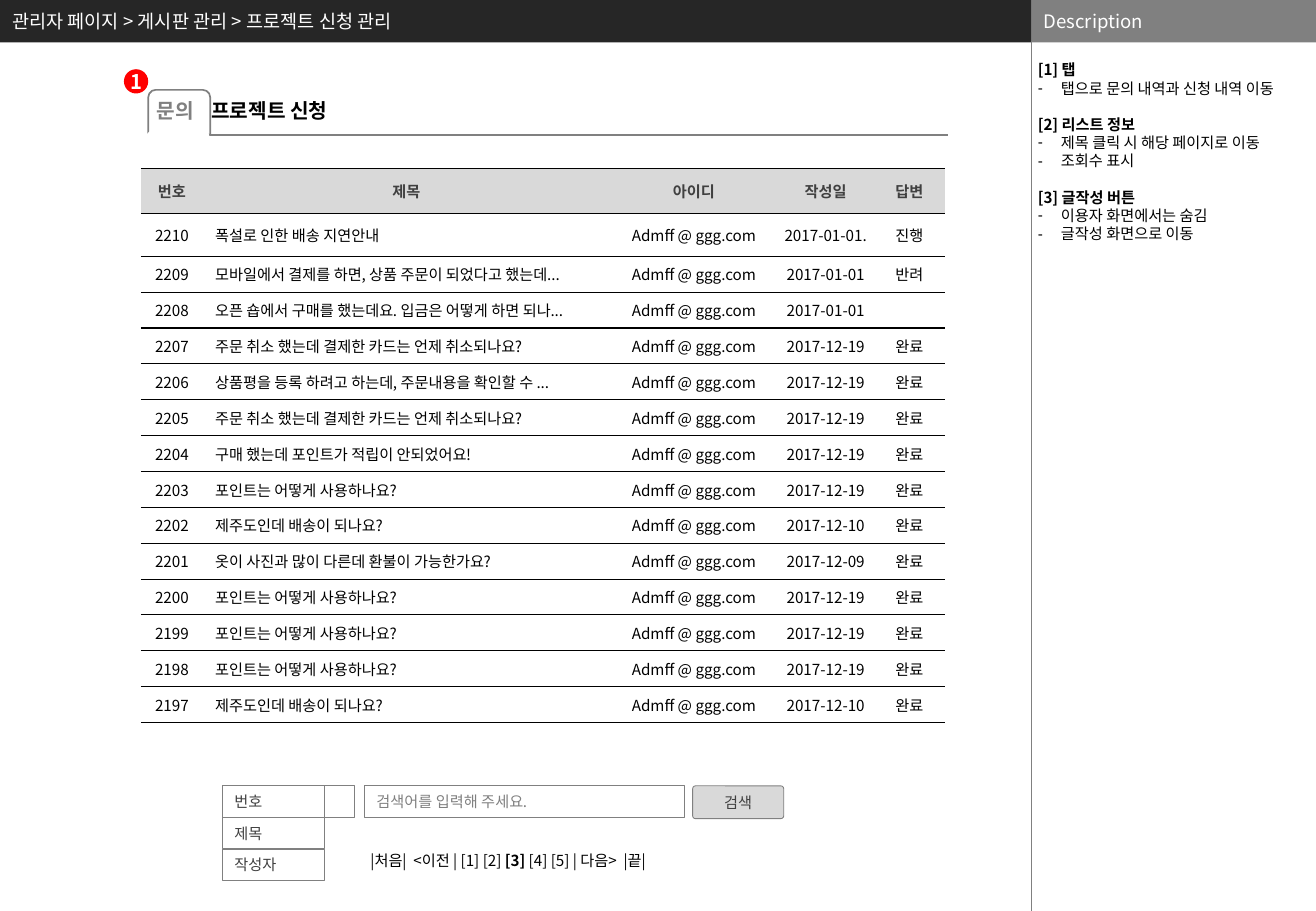
from lxml.etree import SubElement
from pptx import Presentation
from pptx.dml.color import RGBColor
from pptx.enum.shapes import MSO_CONNECTOR, MSO_SHAPE
from pptx.enum.text import MSO_ANCHOR, MSO_AUTO_SIZE, PP_ALIGN
from pptx.oxml.ns import qn
from pptx.util import Inches, Pt

FONT = "Noto Sans CJK KR"
BLACK = RGBColor(0x00, 0x00, 0x00)
WHITE = RGBColor(0xFF, 0xFF, 0xFF)
RED = RGBColor(0xFF, 0x00, 0x00)
CHARCOAL = RGBColor(0x26, 0x26, 0x26)
DARK_GRAY = RGBColor(0x40, 0x40, 0x40)
GRAY = RGBColor(0x80, 0x80, 0x80)
LIGHT_GRAY = RGBColor(0xD9, 0xD9, 0xD9)

DESCRIPTION = [
    ("[1] 탭", ["탭으로 문의 내역과 신청 내역 이동"]),
    ("[2] 리스트 정보", ["제목 클릭 시 해당 페이지로 이동", "조회수 표시"]),
    ("[3] 글작성 버튼", ["이용자 화면에서는 숨김", "글작성 화면으로 이동"]),
]
HEADERS = ["번호", "제목", "아이디", "작성일", "답변"]
COLUMN_WIDTHS = [0.51, 3.35, 1.38, 0.79, 0.59]
ACCOUNT = "Admff @ ggg.com"
FIRST_NUMBER = 2210
POSTS = [
    ("폭설로 인한 배송 지연안내", "2017-01-01.", "진행"),
    ("모바일에서 결제를 하면, 상품 주문이 되었다고 했는데...", "2017-01-01", "반려"),
    ("오픈 숍에서 구매를 했는데요. 입금은 어떻게 하면 되나...", "2017-01-01", ""),
    ("주문 취소 했는데 결제한 카드는 언제 취소되나요?", "2017-12-19", "완료"),
    ("상품평을 등록 하려고 하는데, 주문내용을 확인할 수 ...", "2017-12-19", "완료"),
    ("주문 취소 했는데 결제한 카드는 언제 취소되나요?", "2017-12-19", "완료"),
    ("구매 했는데 포인트가 적립이 안되었어요!", "2017-12-19", "완료"),
    ("포인트는 어떻게 사용하나요?", "2017-12-19", "완료"),
    ("제주도인데 배송이 되나요?", "2017-12-10", "완료"),
    ("옷이 사진과 많이 다른데 환불이 가능한가요?", "2017-12-09", "완료"),
    ("포인트는 어떻게 사용하나요?", "2017-12-19", "완료"),
    ("포인트는 어떻게 사용하나요?", "2017-12-19", "완료"),
    ("포인트는 어떻게 사용하나요?", "2017-12-19", "완료"),
    ("제주도인데 배송이 되나요?", "2017-12-10", "완료"),
]
TABLE_HEIGHT = 4.56
TOP_ROWS = [0.37, 0.35]


def add_text(paragraph, text, size=9, color=BLACK, bold=False, align=PP_ALIGN.LEFT):
    paragraph.alignment = align
    run = paragraph.add_run()
    run.text = text
    run.font.name = FONT
    run.font.size = Pt(size)
    run.font.bold = bold
    run.font.color.rgb = color
    SubElement(run.font._element, qn("a:ea"), typeface=FONT)


class Wireframe:
    def __init__(self, slide):
        self.slide = slide
        self.shapes = slide.shapes

    def frame(self, shape, insets=(0.1, 0.05), anchor=MSO_ANCHOR.MIDDLE, wrap=True):
        frame = shape.text_frame
        frame.auto_size = MSO_AUTO_SIZE.NONE
        frame.word_wrap = wrap
        frame.vertical_anchor = anchor
        frame.margin_left = frame.margin_right = Inches(insets[0])
        frame.margin_top = frame.margin_bottom = Inches(insets[1])
        return frame

    def place(self, shape, box):
        shape.left, shape.top, shape.width, shape.height = map(Inches, box)

    def title(self, box, text):
        title = self.shapes.title
        self.place(title, box)
        title.fill.solid()
        title.fill.fore_color.rgb = CHARCOAL
        add_text(self.frame(title).paragraphs[0], text, size=11, color=WHITE)

    def description(self, box, sections):
        body = self.slide.placeholders[1]
        self.place(body, box)
        frame = self.frame(body, (0.04, 0), MSO_ANCHOR.TOP)
        frame.margin_top = Inches(0.15)
        for index, (heading, items) in enumerate(sections):
            paragraph = frame.add_paragraph() if index else frame.paragraphs[0]
            self.description_line(paragraph, heading, gap=10.8 if index else 0)
            for item in items:
                self.description_line(frame.add_paragraph(), item, bullet=True)

    def description_line(self, paragraph, text, gap=0, bullet=False):
        add_text(paragraph, text, bold=not bullet)
        paragraph.line_spacing = Pt(10.8)
        paragraph.space_before = Pt(gap)
        properties = paragraph._p.get_or_add_pPr()
        indent = Inches(0.19) if bullet else 0
        properties.set("marL", str(indent))
        properties.set("indent", str(-indent))
        if bullet:
            SubElement(properties, qn("a:buChar"), char="-")
        else:
            SubElement(properties, qn("a:buNone"))

    def style(self, shape, fill, line, line_width):
        shape.shadow.inherit = False
        if fill is None:
            shape.fill.background()
        else:
            shape.fill.solid()
            shape.fill.fore_color.rgb = fill
        if line is None:
            shape.line.fill.background()
        else:
            shape.line.color.rgb = line
            shape.line.width = Pt(line_width)

    def box(self, kind, box, text="", fill=None, line=GRAY, line_width=0.5,
            insets=(0.1, 0.05), radius=None, wrap=True, **text_format):
        shape = self.shapes.add_shape(kind, *map(Inches, box))
        self.style(shape, fill, line, line_width)
        if radius is not None:
            shape.adjustments[0] = radius
        if text:
            add_text(self.frame(shape, insets, wrap=wrap).paragraphs[0], text, **text_format)

    def label(self, box, runs, **text_format):
        shape = self.shapes.add_textbox(*map(Inches, box))
        paragraph = self.frame(shape, wrap=False).paragraphs[0]
        for text, bold in runs:
            add_text(paragraph, text, bold=bold, **text_format)

    def line(self, start, end, width):
        points = map(Inches, (*start, *end))
        connector = self.shapes.add_connector(MSO_CONNECTOR.STRAIGHT, *points)
        connector.line.color.rgb = GRAY
        connector.line.width = Pt(width)
        SubElement(connector._element.spPr, qn("a:effectLst"))

    def chevron(self, points):
        builder = self.shapes.build_freeform(*points[0], scale=Inches(1))
        builder.add_line_segments(points[1:], close=False)
        self.style(builder.convert_to_shape(), None, GRAY, 0.5)

    def cell_borders(self, cell):
        properties = cell._tc.get_or_add_tcPr()
        for position, side in enumerate(("lnL", "lnR", "lnT", "lnB")):
            border = SubElement(properties, qn(f"a:{side}"), w=str(Pt(0.75)))
            if side in ("lnL", "lnR"):
                SubElement(border, qn("a:noFill"))
            else:
                fill = SubElement(border, qn("a:solidFill"))
                SubElement(fill, qn("a:srgbClr"), val=str(BLACK))
            properties.insert(position, border)

    def table(self, left, top, rows):
        graphic = self.shapes.add_table(
            len(rows), len(COLUMN_WIDTHS), Inches(left), Inches(top),
            Inches(sum(COLUMN_WIDTHS)), Inches(TABLE_HEIGHT))
        table = graphic.table
        table.horz_banding = False
        for column, width in zip(table.columns, COLUMN_WIDTHS):
            column.width = Inches(width)
        post_height = (TABLE_HEIGHT - sum(TOP_ROWS)) / (len(rows) - len(TOP_ROWS))
        for row_index, values in enumerate(rows):
            is_header = row_index == 0
            height = TOP_ROWS[row_index] if row_index < len(TOP_ROWS) else post_height
            table.rows[row_index].height = Inches(height)
            for column_index, value in enumerate(values):
                cell = table.cell(row_index, column_index)
                cell.vertical_anchor = MSO_ANCHOR.MIDDLE
                if column_index > 1:
                    cell.margin_left = cell.margin_right = 0
                    cell.margin_top = cell.margin_bottom = 0
                if is_header:
                    cell.fill.solid()
                    cell.fill.fore_color.rgb = LIGHT_GRAY
                else:
                    cell.fill.background()
                is_subject = column_index == 1 and not is_header
                add_text(cell.text_frame.paragraphs[0], value, bold=is_header,
                         color=DARK_GRAY if is_header else BLACK,
                         align=PP_ALIGN.LEFT if is_subject else PP_ALIGN.CENTER)
                self.cell_borders(cell)


def main():
    presentation = Presentation()
    presentation.slide_width, presentation.slide_height = Inches(10.83), Inches(7.5)
    page = Wireframe(presentation.slides.add_slide(presentation.slide_layouts[1]))

    page.title((0, 0, 8.49, 0.35), "관리자 페이지 > 게시판 관리 > 프로젝트 신청 관리")
    page.box(MSO_SHAPE.RECTANGLE, (8.49, 0, 2.34, 0.35), "Description",
             fill=GRAY, line=None, size=11, color=WHITE)
    page.line((8.49, 0.34), (8.49, 7.5), 0.25)
    page.description((8.5, 0.35, 2.33, 7.15), DESCRIPTION)

    page.line((1.22, 1.11), (7.8, 1.11), 1)
    page.box(MSO_SHAPE.ROUND_2_SAME_RECTANGLE, (1.22, 0.74, 0.51, 0.37), line_width=1)
    page.box(MSO_SHAPE.ROUNDED_RECTANGLE, (1.21, 1.08, 0.51, 0.29),
             fill=WHITE, line=WHITE, line_width=0.75)
    page.label((1.19, 0.76, 0.52, 0.3), [("문의", True)], size=12, color=GRAY)
    page.label((1.64, 0.76, 1.8, 0.3), [("프로젝트 신청", True)], size=12)
    page.box(MSO_SHAPE.OVAL, (1.02, 0.57, 0.2, 0.2), "1", fill=RED, line=None, insets=(0, 0),
             wrap=False, size=12, color=WHITE, bold=True, align=PP_ALIGN.CENTER)

    posts = [(str(FIRST_NUMBER - index), subject, ACCOUNT, date, status)
             for index, (subject, date, status) in enumerate(POSTS)]
    page.table(1.16, 1.39, [HEADERS, *posts])

    for index, option in enumerate(["번호", "제목", "작성자"]):
        page.box(MSO_SHAPE.RECTANGLE, (1.83, 6.47 + 0.26 * index, 0.84, 0.26), option,
                 color=DARK_GRAY)
    page.box(MSO_SHAPE.RECTANGLE, (2.67, 6.47, 0.25, 0.26), fill=WHITE)
    page.chevron([(2.84, 6.59), (2.8, 6.62), (2.75, 6.59)])
    page.box(MSO_SHAPE.RECTANGLE, (3, 6.47, 2.63, 0.26), "검색어를 입력해 주세요.", color=GRAY)
    page.box(MSO_SHAPE.ROUNDED_RECTANGLE, (5.7, 6.47, 0.75, 0.27), "검색", fill=LIGHT_GRAY,
             insets=(0.05, 0.05), radius=0.09, color=DARK_GRAY, align=PP_ALIGN.CENTER)
    page.label((2.95, 6.96, 2.72, 0.25), [("|처음|  <이전 | [1] [2] ", False), ("[3]", True),
                                          (" [4] [5] | 다음>  |끝|", False)])
    presentation.save("out.pptx")


if __name__ == "__main__":
    main()
